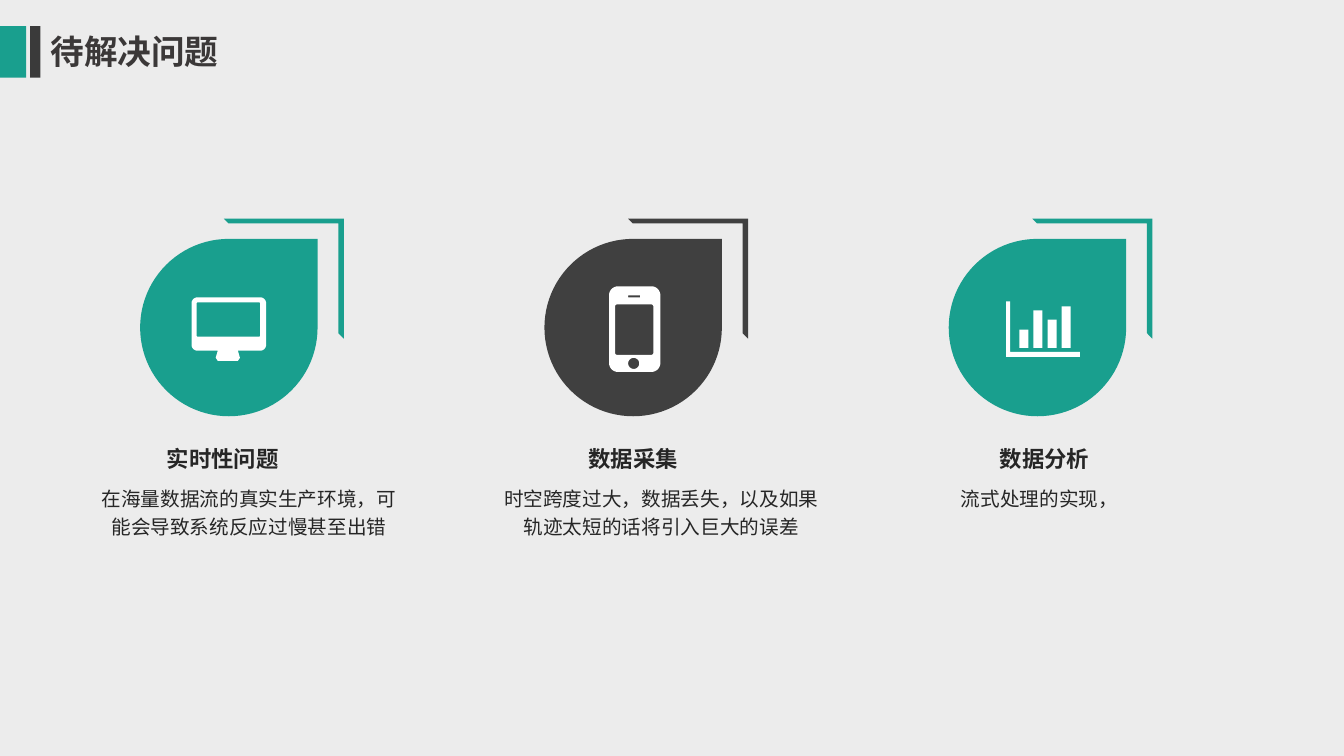
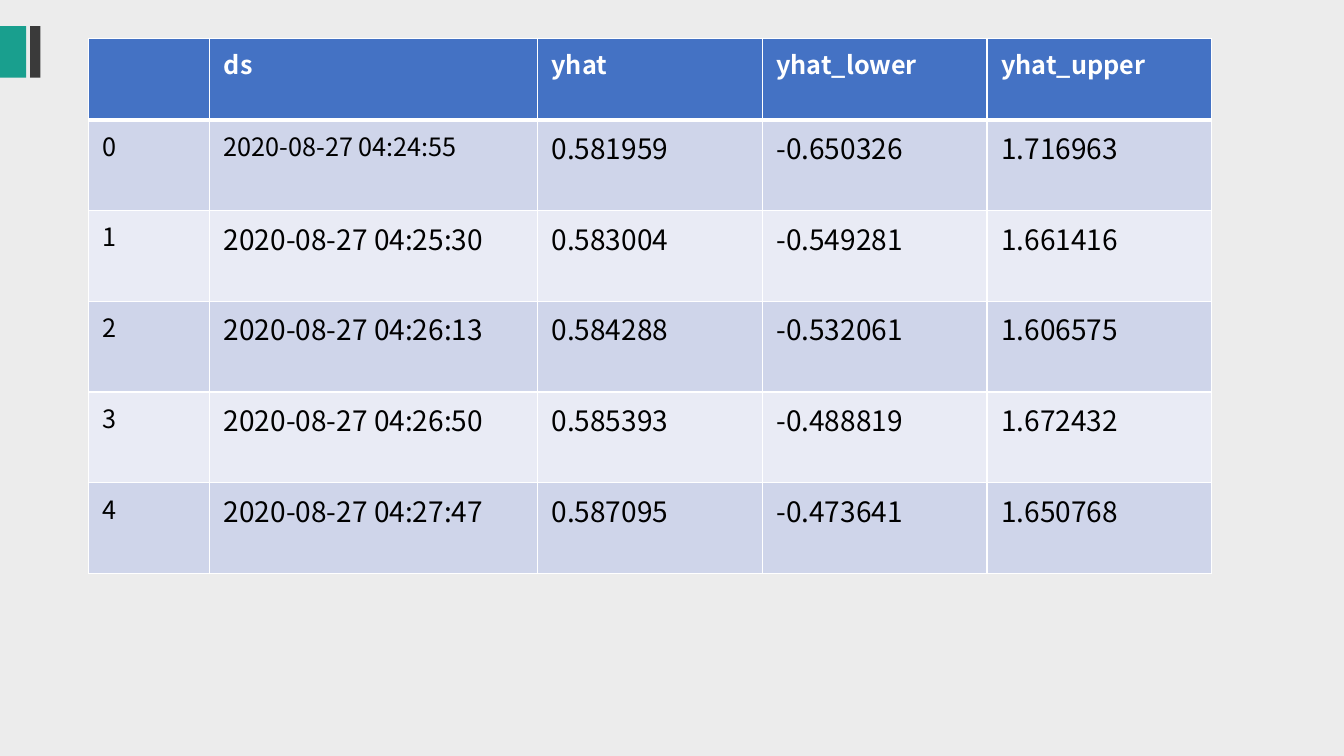
from dataclasses import dataclass
from math import cos, pi, sin

from lxml.etree import SubElement
from pptx import Presentation
from pptx.dml.color import RGBColor
from pptx.enum.shapes import MSO_SHAPE as Kind
from pptx.enum.text import MSO_ANCHOR as Anchor, MSO_AUTO_SIZE as Fit, PP_ALIGN as Align
from pptx.oxml.ns import qn
from pptx.util import Inches, Pt

TEAL = RGBColor(0x19, 0x9F, 0x8E)
DARK = RGBColor(0x40, 0x40, 0x40)
BAR = RGBColor(0x3A, 0x3A, 0x3A)
TITLE = RGBColor(0x3B, 0x38, 0x38)
INK = RGBColor(0x26, 0x26, 0x26)
PAPER = RGBColor(0xEC, 0xEC, 0xEC)
WHITE = RGBColor(0xFF, 0xFF, 0xFF)
BLACK = RGBColor(0, 0, 0)
HEAD = RGBColor(0x44, 0x72, 0xC4)
BANDS = (RGBColor(0xCF, 0xD5, 0xEA), RGBColor(0xE9, 0xEB, 0xF5))
FONT = "Noto Sans CJK SC"

Ring = list[tuple[float, float]]

# Cards: first left edge, step between cards, top and size of the drop
LEFT, STEP, TOP, DROP = 1.39, 4.01, 2.37, 1.76


@dataclass
class Card:
    head: str
    note: str
    color: RGBColor
    icon: list[Ring]
    head_x: float
    note_x: float
    note_w: float


def box(x: float, y: float, w: float, h: float) -> Ring:
    return [(x, y), (x + w, y), (x + w, y + h), (x, y + h)]


def soft(x: float, y: float, w: float, h: float, r: float) -> Ring:
    """Outline of a box whose corners are rounded by r."""
    mids = [(x + w - r, y + h - r), (x + r, y + h - r), (x + r, y + r), (x + w - r, y + r)]
    turns = [(mid, (n + k / 8) * pi / 2) for n, mid in enumerate(mids) for k in range(9)]
    return [(mx + r * cos(a), my + r * sin(a)) for (mx, my), a in turns]


# Icon outlines, measured from the corner of the drop
SCREEN = [
    soft(0.51, 0.58, 0.74, 0.53, 0.06),
    soft(0.56, 0.63, 0.63, 0.34, 0.01),
    [(0.77, 1.11), (0.97, 1.11), (0.99, 1.18), (0.97, 1.21), (0.77, 1.21), (0.75, 1.18)],
]
PHONE = [
    soft(0.64, 0.47, 0.51, 0.85, 0.09),
    soft(0.7, 0.65, 0.38, 0.5, 0.02),
    box(0.83, 0.56, 0.12, 0.02),
    soft(0.83, 1.18, 0.11, 0.11, 0.055),
]
AXES = [(0.57, 0.62), (0.61, 0.62), (0.61, 1.12), (1.3, 1.12), (1.3, 1.17), (0.57, 1.17)]
BARS = [box(0.7 + 0.14 * n, y, 0.09, 1.08 - y) for n, y in enumerate((0.9, 0.71, 0.8, 0.67))]

CARDS = [
    Card("实时性问题", "在海量数据流的真实生产环境，可能会导致系统反应过慢甚至出错",
         TEAL, SCREEN, 1.35, 0.92, 3.1),
    Card("数据采集", "时空跨度过大，数据丢失，以及如果轨迹太短的话将引入巨大的误差",
         DARK, PHONE, 5.42, 4.96, 3.2),
    Card("数据分析", "流式处理的实现，", TEAL, [AXES, *BARS], 9.5, 9.01, 2.6),
]

COLS = (1.2, 3.25, 2.23, 2.23, 2.23)
ROWS = (0.81, 0.9, 0.9, 0.9, 0.9, 0.9)
DATA = [
    ("", "ds", "yhat", "yhat_lower", "yhat_upper"),
    ("0", "2020-08-27 04:24:55", "0.581959", "-0.650326", "1.716963"),
    ("1", "2020-08-27 04:25:30", "0.583004", "-0.549281", "1.661416"),
    ("2", "2020-08-27 04:26:13", "0.584288", "-0.532061", "1.606575"),
    ("3", "2020-08-27 04:26:50", "0.585393", "-0.488819", "1.672432"),
    ("4", "2020-08-27 04:27:47", "0.587095", "-0.473641", "1.650768"),
]


def style(para, size: int, color: RGBColor, bold: bool = False) -> None:
    font = para.font
    font.name, font.size, font.bold = FONT, Pt(size), bold
    font.color.rgb = color
    # East Asian letters take the same face
    SubElement(para._p.pPr.find(qn("a:defRPr")), qn("a:ea"), typeface=FONT)


def paint(shape, color: RGBColor):
    shape.shadow.inherit = False
    shape.fill.solid()
    shape.fill.fore_color.rgb = color
    shape.line.fill.background()
    return shape


def add_box(slide, kind: Kind, x: float, y: float, w: float, h: float, color: RGBColor):
    area = map(Inches, (x, y, w, h))
    return paint(slide.shapes.add_shape(kind, *area), color)


def add_text(slide, text: str, x: float, y: float, w: float, h: float,
             size: int, bold: bool = False):
    frame = slide.shapes.add_textbox(*map(Inches, (x, y, w, h))).text_frame
    frame.word_wrap = True
    para = frame.paragraphs[0]
    para.text, para.alignment = text, Align.CENTER
    style(para, size, INK, bold)
    return frame


def add_icon(slide, rings: list[Ring], x: float, y: float) -> None:
    paths = [[(Inches(x + px), Inches(y + py)) for px, py in ring] for ring in rings]
    pen = slide.shapes.build_freeform(*paths[0][0])
    for path in paths:
        pen.move_to(*path[0])
        pen.add_line_segments(path[1:], close=True)
    paint(pen.convert_to_shape(), WHITE)


def add_card(slide, card: Card, x: float) -> None:
    add_box(slide, Kind.TEAR, x, TOP, DROP, DROP, card.color)
    edge = add_box(slide, Kind.HALF_FRAME, x + 0.83, TOP - 0.2, 1.19, 1.19, card.color)
    edge.rotation = 90
    edge.adjustments[0], edge.adjustments[1] = 0.046, 0.039
    add_icon(slide, card.icon, x, TOP)
    add_text(slide, card.head, card.head_x, 4.37, 1.72, 0.37, 16, True)
    note = add_text(slide, card.note, card.note_x, 4.78, card.note_w, 0.55, 14)
    note.margin_left = note.margin_right = note.margin_top = note.margin_bottom = 0
    note.paragraphs[0].line_spacing = 1.2


def set_title(slide, text: str) -> None:
    title = slide.shapes.title
    title.left, title.top, title.width, title.height = map(Inches, (0.4, 0.26, 2.99, 0.5))
    frame = title.text_frame
    frame.auto_size, frame.vertical_anchor = Fit.NONE, Anchor.MIDDLE
    para = frame.paragraphs[0]
    para.text, para.alignment = text, Align.JUSTIFY
    style(para, 24, TITLE, True)


def set_edges(cell, top: int, foot: int) -> None:
    props = cell._tc.get_or_add_tcPr()
    for side, width in (("L", 1), ("R", 1), ("T", top), ("B", foot)):
        line = SubElement(props, qn(f"a:ln{side}"), w=str(Pt(width)))
        fill = SubElement(line, qn("a:solidFill"))
        SubElement(fill, qn("a:srgbClr"), val=str(WHITE))


def add_grid(slide) -> None:
    area = map(Inches, (0.88, 0.38, sum(COLS), sum(ROWS)))
    table = slide.shapes.add_table(len(ROWS), len(COLS), *area).table
    for col, width in zip(table.columns, COLS):
        col.width = Inches(width)
    for r, (height, texts) in enumerate(zip(ROWS, DATA)):
        table.rows[r].height = Inches(height)
        for c, text in enumerate(texts):
            cell = table.cell(r, c)
            cell.margin_left = cell.margin_right = Inches(0.14)
            cell.margin_top = cell.margin_bottom = Inches(0.07)
            set_edges(cell, 3 if r == 1 else 1, 3 if r == 0 else 1)
            cell.fill.solid()
            cell.fill.fore_color.rgb = BANDS[(r - 1) % 2] if r else HEAD
            para = cell.text_frame.paragraphs[0]
            para.text = text
            small = r == 0 or c == 0 or (r, c) == (1, 1)
            style(para, 18 if small else 20, BLACK if r else WHITE, r == 0)


def set_master(deck, slide) -> None:
    """Give the master its background and the two bars beside the title."""
    master = deck.slide_master
    master.background.fill.solid()
    master.background.fill.fore_color.rgb = PAPER
    for n, (x, w, color) in enumerate(((0, 0.26, TEAL), (0.3, 0.1, BAR))):
        bar = add_box(slide, Kind.RECTANGLE, x, 0.26, w, 0.51, color)
        bar.element.nvSpPr.cNvPr.set("id", str(20 + n))
        master.shapes.element.insert(2 + n, bar.element)


def main() -> None:
    deck = Presentation()
    deck.slide_width, deck.slide_height = Inches(13.33), Inches(7.5)

    # Open problems
    slide = deck.slides.add_slide(deck.slide_layouts[5])
    set_master(deck, slide)
    set_title(slide, "待解决问题")
    for n, card in enumerate(CARDS):
        add_card(slide, card, LEFT + STEP * n)

    # Forecast table
    add_grid(deck.slides.add_slide(deck.slide_layouts[6]))
    deck.save("out.pptx")


if __name__ == "__main__":
    main()
